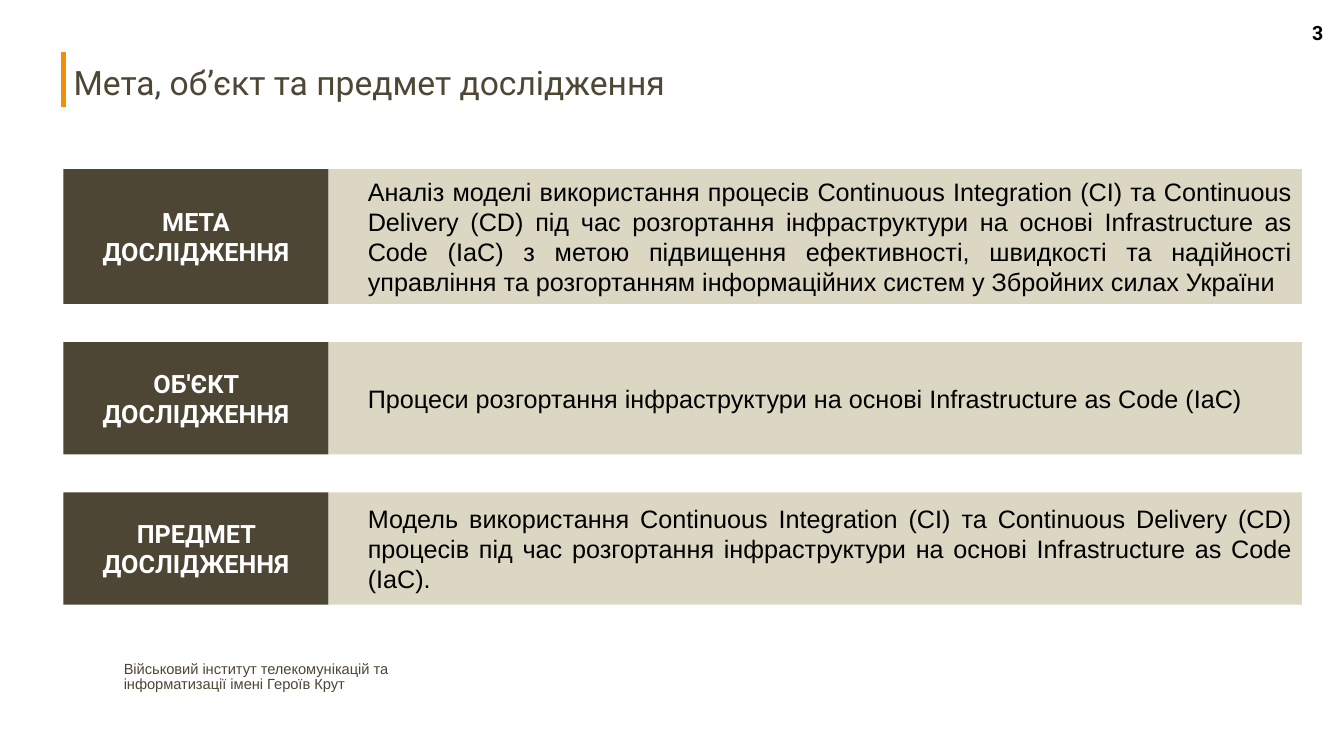
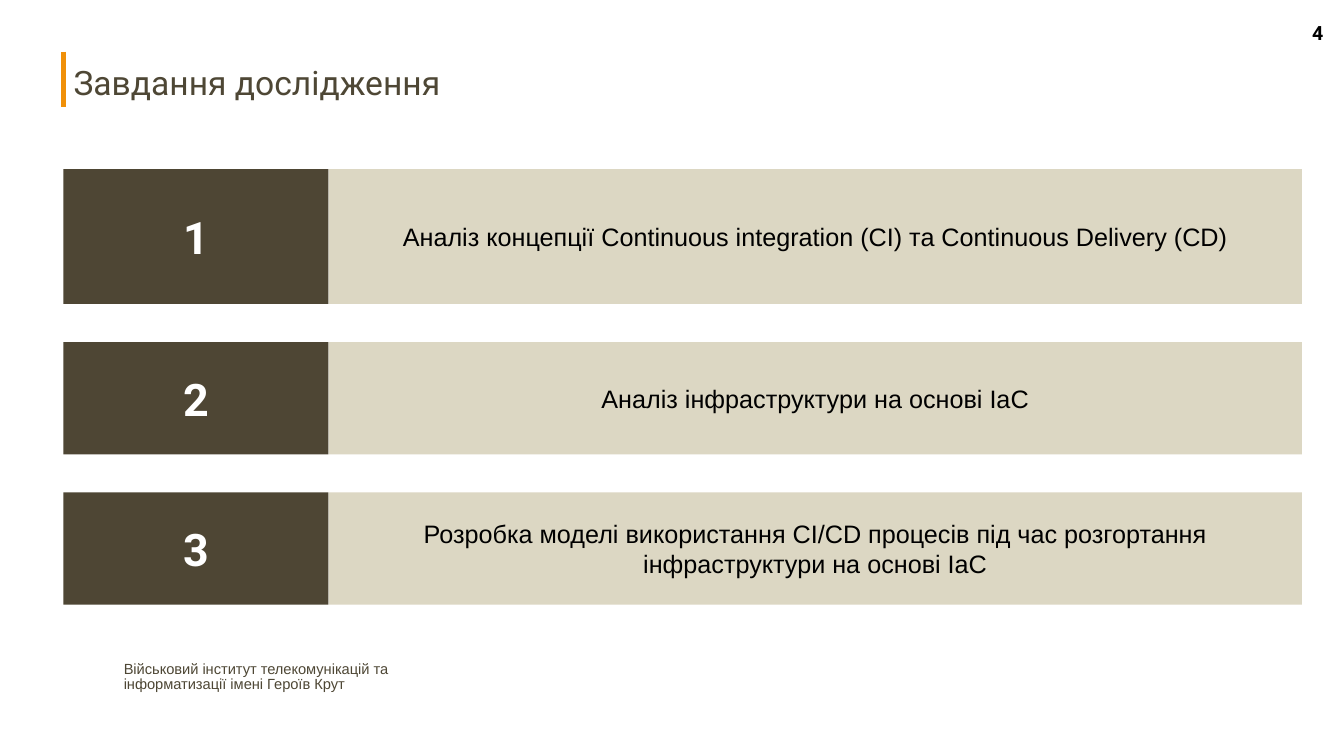
from dataclasses import dataclass

from lxml import etree
from pptx import Presentation
from pptx import util as u
from pptx.dml.color import RGBColor
from pptx.enum import shapes, text
from pptx.oxml import ns


@dataclass(frozen=True)
class Theme:
    ink: RGBColor = RGBColor.from_string("4E4735")
    label_fill: RGBColor = RGBColor.from_string("4E4634")
    body_fill: RGBColor = RGBColor.from_string("DCD7C3")
    accent: RGBColor = RGBColor.from_string("F09009")
    white: RGBColor = RGBColor.from_string("FFFFFF")
    black: RGBColor = RGBColor.from_string("000000")
    heading_font: str = "Roboto"
    body_font: str = "Arial"
    title_size: float = 24
    number_size: float = 32
    body_size: float = 18
    page_size: float = 14
    footer_size: float = 10.5


THEME = Theme()
ALIGN = text.PP_ALIGN
ANCHOR = text.MSO_ANCHOR

LEFT = 1.6
LABEL_WIDTH = 6.68
BODY_WIDTH = 24.53
ROWS_TOP = 4.26
ROW_GAP = 0.96
ROW_HEIGHTS = (3.4, 2.83, 2.83)
INSET = 0.25
BODY_INDENT = 0.74

INSTITUTE = "Військовий інститут телекомунікацій та інформатизації імені Героїв Крут"

GOALS = [
    ("МЕТА ДОСЛІДЖЕННЯ",
     "Аналіз моделі використання процесів Continuous Integration (CI) та "
     "Continuous Delivery (CD) під час розгортання інфраструктури на основі "
     "Infrastructure as Code (IaC) з метою підвищення ефективності, швидкості "
     "та надійності управління та розгортанням інформаційних систем у "
     "Збройних силах України"),
    ("ОБ'ЄКТ ДОСЛІДЖЕННЯ",
     "Процеси розгортання інфраструктури на основі Infrastructure as Code (IaC)"),
    ("ПРЕДМЕТ ДОСЛІДЖЕННЯ",
     "Модель використання Continuous Integration (CI) та Continuous Delivery "
     "(CD) процесів під час розгортання інфраструктури на основі "
     "Infrastructure as Code (IaC)."),
]

TASKS = [
    ("1", "Аналіз концепції Continuous integration (CI) та Continuous Delivery (CD)"),
    ("2", "Аналіз інфраструктури на основі IaC"),
    ("3", "Розробка моделі використання CI/CD процесів під час розгортання "
          "інфраструктури на основі IaC"),
]


def set_text(frame, words, font, size, color, bold=False, align=ALIGN.LEFT,
             anchor=ANCHOR.TOP, spacing=1.0, wrap=True):
    frame.text = words
    frame.word_wrap = wrap
    frame.auto_size = text.MSO_AUTO_SIZE.NONE
    frame.vertical_anchor = anchor
    paragraph = frame.paragraphs[0]
    paragraph.alignment = align
    paragraph.line_spacing = spacing
    for run in paragraph.runs:
        run.font.name = font
        run.font.size = u.Pt(size)
        run.font.bold = bold
        run.font.color.rgb = color


def add_heading(slide, words, left, top, width, height):
    title = slide.shapes.title
    title.left, title.top = u.Cm(left), u.Cm(top + 0.25)
    title.width, title.height = u.Cm(width), u.Cm(height)
    set_text(title.text_frame, words, THEME.heading_font, THEME.title_size,
             THEME.ink, spacing=0.9)

    accent_bar = slide.shapes.add_connector(
        shapes.MSO_CONNECTOR.STRAIGHT,
        u.Cm(left), u.Cm(top), u.Cm(left), u.Cm(top + height))
    accent_bar.line.color.rgb = THEME.accent
    accent_bar.line.width = u.Pt(3)
    etree.SubElement(accent_bar.element.spPr, ns.qn("a:effectLst"))


def add_footer(slide, left, top, width, height):
    footer = slide.shapes.add_textbox(u.Cm(left), u.Cm(top), u.Cm(width), u.Cm(height))
    set_text(footer.text_frame, INSTITUTE, THEME.body_font, THEME.footer_size,
             THEME.ink, spacing=0.9)


def add_page_number(slide, number, left, top, width, height):
    page = slide.shapes.add_textbox(u.Cm(left), u.Cm(top), u.Cm(width), u.Cm(height))
    set_text(page.text_frame, str(number), THEME.heading_font, THEME.page_size,
             THEME.black, bold=True, wrap=False)


def add_panel(slide, left, top, width, height, fill):
    """Add a plain rectangle with even insets and return its text frame."""
    panel = slide.shapes.add_shape(shapes.MSO_SHAPE.RECTANGLE, u.Cm(left), u.Cm(top),
                                   u.Cm(width), u.Cm(height))
    panel.shadow.inherit = False
    panel.fill.solid()
    panel.fill.fore_color.rgb = fill
    panel.line.fill.background()
    frame = panel.text_frame
    frame.margin_left = frame.margin_right = u.Cm(INSET)
    frame.margin_top = frame.margin_bottom = u.Cm(INSET)
    return frame


def add_row(slide, label, body, left, top, height, label_size, body_align, indent):
    body_frame = add_panel(slide, left + LABEL_WIDTH, top, BODY_WIDTH, height,
                           THEME.body_fill)
    body_frame.margin_left = u.Cm(INSET + indent)
    set_text(body_frame, body, THEME.body_font, THEME.body_size, THEME.black,
             align=body_align, anchor=ANCHOR.MIDDLE)

    label_frame = add_panel(slide, left, top, LABEL_WIDTH, height, THEME.label_fill)
    set_text(label_frame, label, THEME.heading_font, label_size, THEME.white,
             bold=True, align=ALIGN.CENTER, anchor=ANCHOR.MIDDLE)


def add_rows_slide(deck, number, heading, rows, label_size, body_align, indent=0):
    """Add a slide of labelled rows with the shared heading, footer and number."""
    slide = deck.slides.add_slide(deck.slide_layouts.get_by_name("Title Only"))
    add_footer(slide, 2.87, 16.54, 7.5, 1.9)
    add_heading(slide, heading, LEFT, 1.3, 25.4, 1.4)
    top = ROWS_TOP
    for (label, body), height in zip(rows, ROW_HEIGHTS):
        add_row(slide, label, body, LEFT, top, height, label_size, body_align, indent)
        top += height + ROW_GAP
    add_page_number(slide, number, 32.82, 0.41, 0.74, 0.86)


def main():
    deck = Presentation()
    deck.slide_width, deck.slide_height = u.Cm(33.87), u.Cm(19.05)
    add_rows_slide(deck, 3, "Мета, об’єкт та предмет дослідження", GOALS,
                   THEME.body_size, ALIGN.JUSTIFY, BODY_INDENT)
    add_rows_slide(deck, 4, "Завдання дослідження", TASKS,
                   THEME.number_size, ALIGN.CENTER)
    deck.save("out.pptx")


if __name__ == "__main__":
    main()
